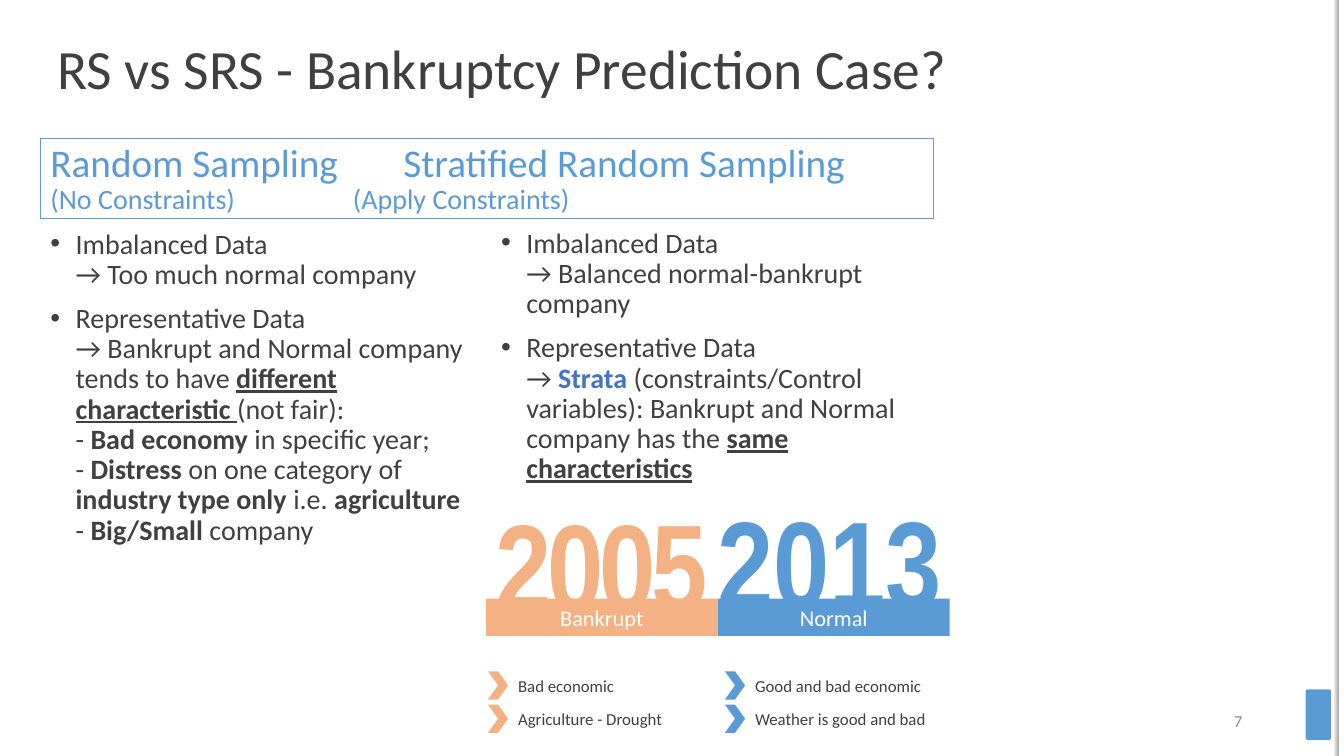
from lxml.etree import SubElement
from pptx import Presentation
from pptx.dml.color import RGBColor
from pptx.enum.shapes import MSO_SHAPE as Preset
from pptx.enum.text import MSO_ANCHOR as Anchor, MSO_AUTO_SIZE as AutoSize, PP_ALIGN as Align
from pptx.oxml.ns import qn
from pptx.util import Inches, Pt

BLUE = RGBColor(0x5B, 0x9B, 0xD5)
STRATA_BLUE = RGBColor(0x44, 0x72, 0xC4)
ORANGE = RGBColor(0xF4, 0xB1, 0x83)
DARK = RGBColor(0x40, 0x40, 0x40)
GREY = RGBColor(0x8C, 0x8C, 0x8C)
LIGHT_EDGE = RGBColor(0xF2, 0xF2, 0xF2)
DARK_EDGE = RGBColor(0xA6, 0xA6, 0xA6)
WHITE = RGBColor(0xFF, 0xFF, 0xFF)

PLAIN = {}
BOLD = {"bold": True}
KEY = {"bold": True, "underline": True}
STRATA = {"bold": True, "color": STRATA_BLUE}

RANDOM_POINTS = [
    [("Imbalanced Data\n→ Too much normal company", PLAIN)],
    [("Representative Data\n→ Bankrupt and Normal company tends to have ", PLAIN),
     ("different characteristic ", KEY), ("(not fair):\n- ", PLAIN),
     ("Bad economy ", BOLD), ("in specific year;\n- ", PLAIN),
     ("Distress ", BOLD), ("on one category of ", PLAIN),
     ("industry type only ", BOLD), ("i.e. ", PLAIN), ("agriculture", BOLD),
     ("\n- ", PLAIN), ("Big/Small", BOLD), (" company", PLAIN)],
]
STRATIFIED_POINTS = [
    [("Imbalanced Data\n→ Balanced normal-bankrupt company", PLAIN)],
    [("Representative Data\n→ ", PLAIN), ("Strata ", STRATA),
     ("(constraints/Control variables): Bankrupt and Normal company has the ", PLAIN),
     ("same characteristics", KEY)],
]
HEADINGS = [
    ("Random Sampling \t\tStratified Random Sampling\n", {"size": 28}),
    ("(No Constraints)\t\t\t(Apply Constraints)", {"size": 20}),
]
YEARS = [
    ("2005", "Bankrupt", ORANGE, 4.72, 4.79, -300, 4.82, 4.84,
     ["Bad economic", "Agriculture - Drought"]),
    ("2013", "Normal", BLUE, 6.98, 4.76, 0, 7.12, 7.19,
     ["Good and bad economic", "Weather is good and bad"]),
]


class SlideBuilder:
    """Holds the style and the current slide, and adds each kind of element."""

    font_name = "Calibri"

    def __init__(self, slide):
        self.slide = slide

    def place(self, shape, left, top, width, height):
        shape.left, shape.top = Inches(left), Inches(top)
        shape.width, shape.height = Inches(width), Inches(height)

    def set_font(self, paragraph, size, color, bold=False, name=None):
        font = paragraph.font
        font.name = name or self.font_name
        font.size, font.bold = Pt(size), bold
        font.color.rgb = color

    def add_runs(self, paragraph, runs):
        for text, style in runs:
            for number, line in enumerate(text.split("\n")):
                if number:
                    paragraph.add_line_break()
                if not line:
                    continue
                run = paragraph.add_run()
                run.text = line
                if "size" in style:
                    run.font.size = Pt(style["size"])
                if "bold" in style:
                    run.font.bold = True
                if "underline" in style:
                    run.font.underline = True
                if "color" in style:
                    run.font.color.rgb = style["color"]

    def placeholder(self, index, box, anchor=Anchor.TOP):
        shape = self.slide.placeholders[index]
        self.place(shape, *box)
        frame = shape.text_frame
        frame.auto_size, frame.word_wrap = AutoSize.NONE, True
        frame.vertical_anchor = anchor
        return shape

    def title(self, text, box):
        paragraph = self.placeholder(0, box, Anchor.MIDDLE).text_frame.paragraphs[0]
        paragraph.text = text
        paragraph.alignment, paragraph.line_spacing = Align.LEFT, 0.9
        self.set_font(paragraph, 39.6, DARK)

    def heading(self, runs, box):
        shape = self.placeholder(1, box)
        shape.line.color.rgb, shape.line.width = BLUE, Pt(0.75)
        paragraph = shape.text_frame.paragraphs[0]
        tabs = SubElement(paragraph._p.get_or_add_pPr(), qn("a:tabLst"))
        for stop in range(1, 5):
            SubElement(tabs, qn("a:tab"), pos=str(Inches(stop)), algn="l")
        paragraph.line_spacing, paragraph.space_before = 0.9, Pt(0)
        self.set_font(paragraph, 20, BLUE)
        self.add_runs(paragraph, runs)

    def bullets(self, index, points, box):
        frame = self.placeholder(index, box).text_frame
        for number, runs in enumerate(points):
            paragraph = frame.add_paragraph() if number else frame.paragraphs[0]
            properties = paragraph._p.get_or_add_pPr()
            properties.set("marL", str(Inches(0.25)))
            properties.set("indent", str(Inches(-0.25)))
            SubElement(properties, qn("a:buFont"), typeface="Arial")
            SubElement(properties, qn("a:buChar"), char="•")
            paragraph.line_spacing = 0.9
            paragraph.space_before = Pt(10 if number else 0)
            self.set_font(paragraph, 20, DARK)
            self.add_runs(paragraph, runs)

    def text(self, text, box, size, color, align=Align.LEFT, anchor=Anchor.TOP,
             bold=False, name=None, margin=0.1, spacing=0):
        shape = self.slide.shapes.add_textbox(*map(Inches, box))
        frame = shape.text_frame
        frame.word_wrap, frame.vertical_anchor = True, anchor
        frame.margin_left = frame.margin_right = Inches(margin)
        paragraph = frame.paragraphs[0]
        paragraph.alignment = align
        self.set_font(paragraph, size, color, bold, name)
        run = paragraph.add_run()
        run.text = text
        if spacing:
            run._r.get_or_add_rPr().set("spc", str(spacing))

    def shape(self, preset, box, color, label=None):
        shape = self.slide.shapes.add_shape(preset, *map(Inches, box))
        shape.shadow.inherit = False
        shape.fill.solid()
        shape.fill.fore_color.rgb = color
        shape.line.fill.background()
        if label:
            shape.text_frame.vertical_anchor = Anchor.MIDDLE
            paragraph = shape.text_frame.paragraphs[0]
            paragraph.text = label
            paragraph.alignment = Align.CENTER
            self.set_font(paragraph, 16, WHITE)
        return shape

    def edge(self):
        marker = self.shape(Preset.ROUNDED_RECTANGLE, (12.95, 6.84, 0.25, 0.5), BLUE)
        marker.adjustments[0] = 0.07
        self.shape(Preset.RECTANGLE, (13.28, 0, 0.05, 7.5), WHITE)
        strip = self.shape(Preset.RECTANGLE, (13.23, 0, 0.05, 7.5), LIGHT_EDGE)
        strip.fill.gradient()
        strip.fill.gradient_angle = 0
        for stop, color in zip(strip.fill.gradient_stops, (LIGHT_EDGE, DARK_EDGE)):
            stop.color.rgb = color

    def year(self, year, label, color, left, top, spacing, bar_left, list_left, notes):
        self.text(year, (left, top, 2.5, 1.58), 88, color, Align.CENTER, Anchor.MIDDLE,
                  True, "Arial Narrow", 0.12, spacing)
        self.shape(Preset.RECTANGLE, (bar_left, 5.94, 2.3, 0.37), color, label)
        for row, note in enumerate(notes):
            row_top = 6.65 + 0.33 * row
            self.shape(Preset.CHEVRON, (list_left, row_top + 0.01, 0.2, 0.28), color)
            self.text(note, (list_left + 0.2, row_top, 2.05, 0.3), 12, DARK)


def main():
    presentation = Presentation()
    presentation.slide_width, presentation.slide_height = Inches(13.33), Inches(7.5)
    slide = presentation.slides.add_slide(presentation.slide_layouts.get_by_name("Comparison"))
    unused = slide.placeholders[3]._element
    unused.getparent().remove(unused)

    builder = SlideBuilder(slide)
    builder.edge()
    builder.title("RS vs SRS - Bankruptcy Prediction Case?", (0.47, 0.47, 12.4, 0.47))
    builder.heading(HEADINGS, (0.4, 1.37, 8.86, 0.8))
    builder.bullets(2, RANDOM_POINTS, (0.4, 2.23, 4.48, 3.9))
    builder.bullets(4, STRATIFIED_POINTS, (4.87, 2.22, 4.39, 3.9))
    builder.text("7", (9.42, 6.95, 3, 0.4), 12, GREY, Align.RIGHT, Anchor.MIDDLE)
    for year in reversed(YEARS):
        builder.year(*year)
    presentation.save("out.pptx")


if __name__ == "__main__":
    main()
